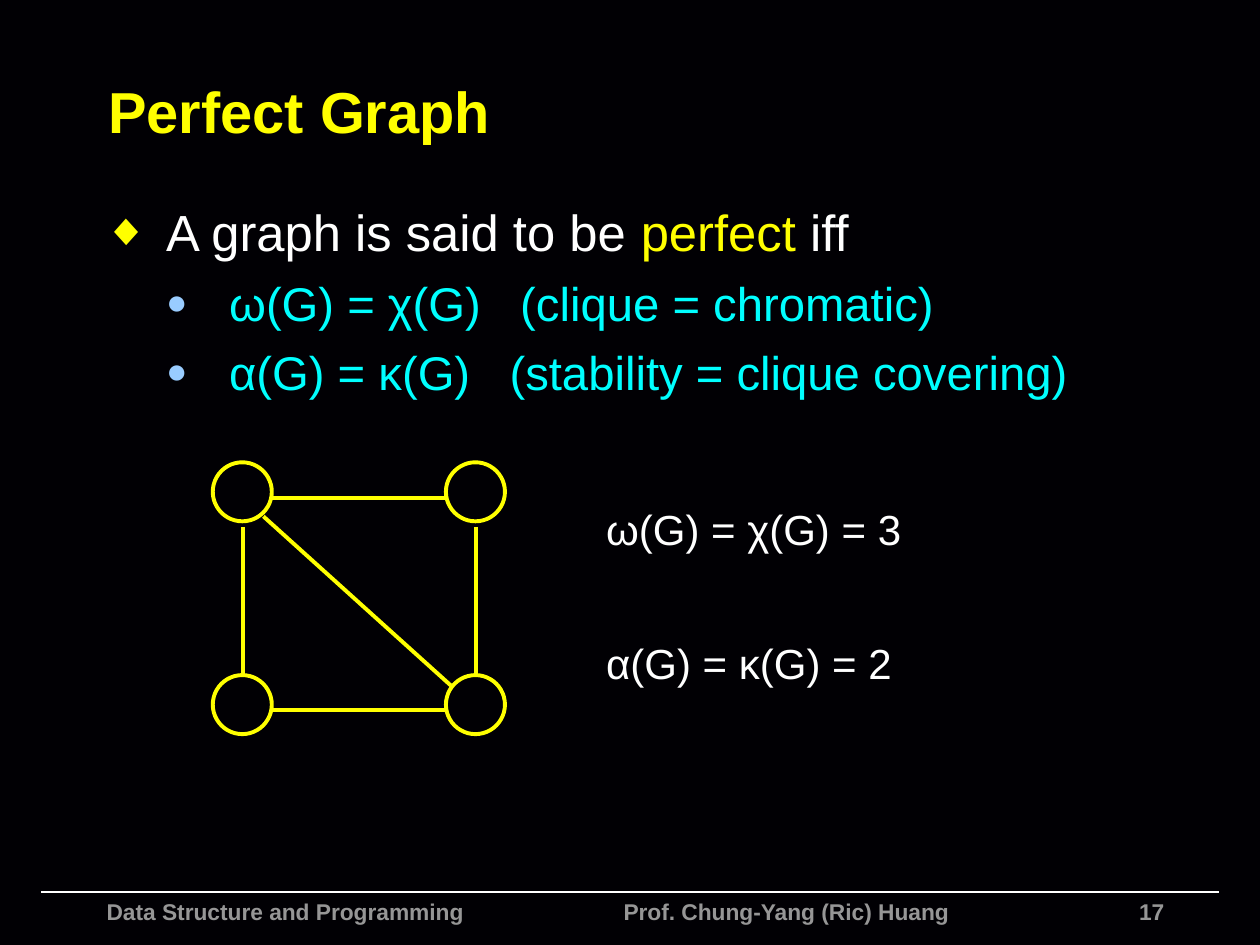
"""Build the slide that defines a perfect graph."""
from lxml import etree
from pptx import Presentation
from pptx.dml.color import RGBColor
from pptx.enum.shapes import MSO_CONNECTOR, MSO_SHAPE
from pptx.enum.text import MSO_ANCHOR, MSO_AUTO_SIZE, PP_ALIGN
from pptx.oxml.ns import qn
from pptx.util import Cm, Pt

STRAIGHT = MSO_CONNECTOR.STRAIGHT
OVAL = MSO_SHAPE.OVAL
MIDDLE = MSO_ANCHOR.MIDDLE
NO_FIT = MSO_AUTO_SIZE.NONE
LEFT, RIGHT = PP_ALIGN.LEFT, PP_ALIGN.RIGHT
FONT = "Arial"
COLORS = {
    "background": "010004",
    "accent": "FFFF00",
    "text": "FFFFFF",
    "detail": "00FFFF",
    "dot": "99CCFF",
    "footer": "969696",
}


class SlideBuilder:
    def __init__(self, slide):
        self.slide = slide
        slide.background.fill.solid()
        slide.background.fill.fore_color.rgb = self.color("background")

    def color(self, name):
        return RGBColor.from_string(COLORS[name])

    def style(self, font, size, color, bold=False):
        font.name, font.size, font.bold = FONT, Pt(size), bold
        font.color.rgb = self.color(color)

    def place(self, shape, left, top, width, height):
        shape.left, shape.top = Cm(left), Cm(top)
        shape.width, shape.height = Cm(width), Cm(height)

    def title(self, text, box):
        title = self.slide.shapes.title
        self.place(title, *box)
        frame = title.text_frame
        frame.text = text
        frame.auto_size, frame.vertical_anchor = NO_FIT, MIDDLE
        frame.paragraphs[0].alignment = LEFT
        self.style(frame.paragraphs[0].runs[0].font, 33, "accent", True)

    def frame(self, box):
        shape = self.slide.shapes.add_textbox(*map(Cm, box))
        shape.text_frame.word_wrap = True
        return shape.text_frame

    def text(self, text, box, size, color, bold=False, align=LEFT, tab=None):
        frame = self.frame(box)
        frame.text = text
        paragraph = frame.paragraphs[0]
        paragraph.alignment = align
        if tab:
            tabs = etree.SubElement(paragraph._p.get_or_add_pPr(), qn("a:tabLst"))
            etree.SubElement(tabs, qn("a:tab"), pos=str(Cm(tab)), algn="l")
        for run in paragraph.runs:
            self.style(run.font, size, color, bold)
        return frame

    def bullet(self, paragraph, level, symbol, color, percent):
        paragraph.level = level
        properties = paragraph._p.get_or_add_pPr()
        properties.set("marL", str(Cm(1.27 * (level + 1))))
        properties.set("indent", str(Cm(-1.27)))
        bullet_color = etree.SubElement(properties, qn("a:buClr"))
        etree.SubElement(bullet_color, qn("a:srgbClr"), val=COLORS[color])
        etree.SubElement(properties, qn("a:buSzPct"), val=str(percent * 1000))
        etree.SubElement(properties, qn("a:buFont"), typeface=FONT)
        etree.SubElement(properties, qn("a:buChar"), char=symbol)

    def bullets(self, items, box):
        frame = self.frame(box)
        for index, (level, size, runs) in enumerate(items):
            paragraph = frame.add_paragraph() if index else frame.paragraphs[0]
            if index:
                paragraph.space_before = Pt(7)
            marker = ("●", "dot", 75) if level else ("◆", "accent", 90)
            self.bullet(paragraph, level, *marker)
            for text, color in runs:
                run = paragraph.add_run()
                run.text = text
                self.style(run.font, size, color)

    def line(self, shapes, start, end, color, width):
        line = shapes.add_connector(STRAIGHT, *map(Cm, start + end))
        line.line.color.rgb = self.color(color)
        line.line.width = Pt(width)
        etree.SubElement(line._element.spPr, qn("a:effectLst"))

    def node(self, shapes, left, top, diameter):
        node = shapes.add_shape(OVAL, Cm(left), Cm(top), Cm(diameter), Cm(diameter))
        node.shadow.inherit = False
        node.fill.background()
        node.line.color.rgb = self.color("accent")
        node.line.width = Pt(2.25)

    def graph(self, columns, rows, diameter):
        shapes = self.slide.shapes.add_group_shape().shapes
        left, right = columns
        top, bottom = rows
        for y in rows:
            for x in columns:
                self.node(shapes, x, y, diameter)
        edges = [((left + diameter, y + 0.71), (right, y + 0.71)) for y in rows]
        edges += [((x + 0.6, top + 1.3), (x + 0.6, bottom)) for x in columns]
        edges.append(((left + 1.02, top + 1.09), (right + 0.1, bottom + 0.21)))
        for start, end in edges:
            self.line(shapes, start, end, "accent", 2.25)


def main():
    presentation = Presentation()
    presentation.slide_width, presentation.slide_height = Cm(25.4), Cm(19.05)
    slide = presentation.slides.add_slide(presentation.slide_layouts[5])
    builder = SlideBuilder(slide)

    builder.line(slide.shapes, (0.83, 17.98), (24.57, 17.98), "text", 1)
    builder.text("17", (15.67, 17.98, 8.05, 0.8), 13, "footer", True, RIGHT)
    builder.text("Data Structure and Programming\tProf. Chung-Yang (Ric) Huang",
                 (1.9, 17.98, 18.4, 1.07), 13, "footer", True, tab=10.42)

    builder.title("Perfect Graph", (1.93, 0.94, 22.45, 2.57))
    builder.bullets([
        (0, 29, [("A graph is said to be ", "text"), ("perfect", "accent"),
                 (" iff", "text")]),
        (1, 27, [("ω(G) = χ(G)   (clique = chromatic)", "detail")]),
        (1, 27, [("α(G) = κ(G)   (stability = clique covering)", "detail")]),
    ], (1.83, 3.93, 21.59, 13.01))

    builder.graph((4.29, 8.99), (9.32, 13.61), 1.19)
    for text, top in (("ω(G) = χ(G) = 3", 10.03), ("α(G) = κ(G) = 2", 12.73)):
        frame = builder.text(text, (12.09, top, 6.78, 1.27), 24, "text")
        frame.margin_left = frame.margin_right = Cm(0.13)

    presentation.save("out.pptx")


if __name__ == "__main__":
    main()
